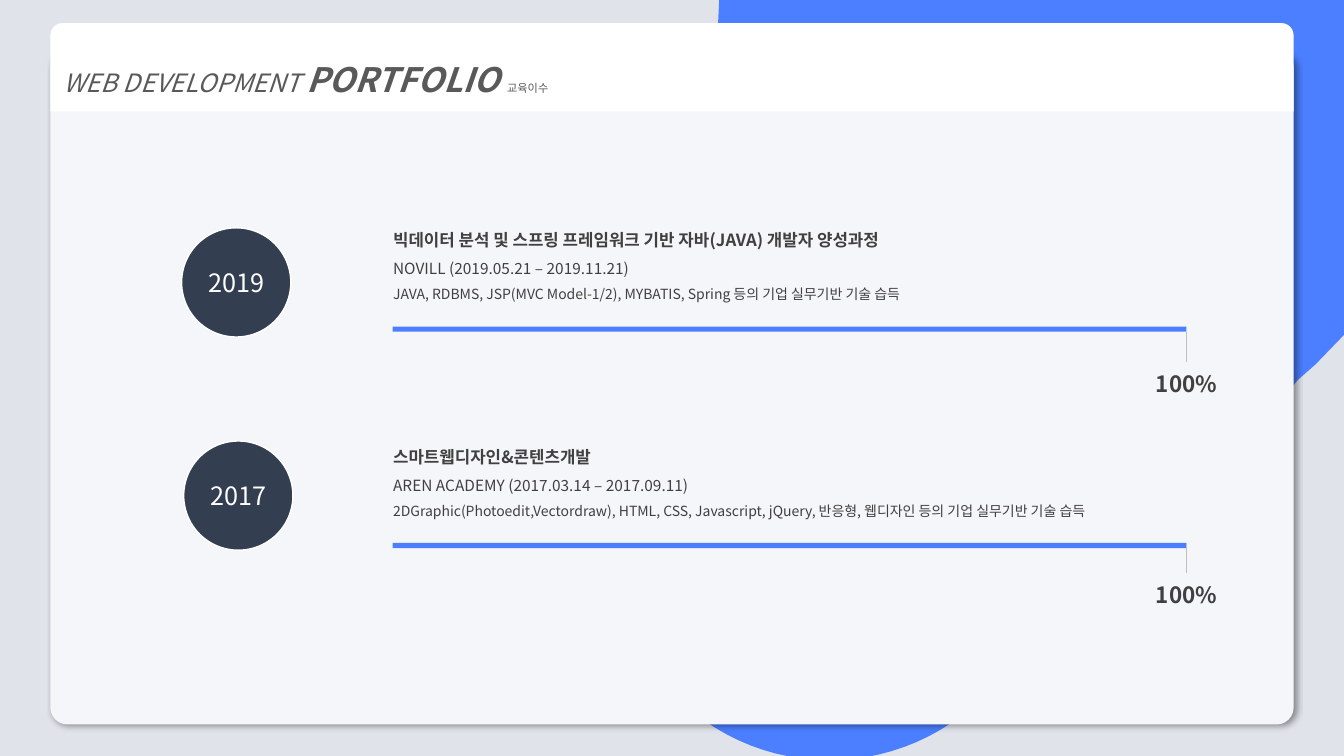
from lxml import etree
from pptx import Presentation
from pptx.dml.color import RGBColor
from pptx.enum.shapes import MSO_SHAPE
from pptx.enum.text import MSO_ANCHOR, MSO_AUTO_SIZE, PP_ALIGN
from pptx.oxml.ns import qn
from pptx.util import Pt

PX = 9525  # EMU per pixel, 96 px to the inch
FONT = "Noto Sans CJK KR"
COLORS = {
    "page": "E1E3EB", "accent": "4B7FFF", "card": "F5F6F9", "white": "FFFFFF",
    "title": "595959", "text": "404040", "badge": "333F50", "tick": "BFBFBF",
    "shadow": "000000",
}
RECT, ROUND_RECT = MSO_SHAPE.RECTANGLE, MSO_SHAPE.ROUNDED_RECTANGLE
ROUND_TOP, OVAL = MSO_SHAPE.ROUND_2_SAME_RECTANGLE, MSO_SHAPE.OVAL
MIDDLE, LEFT, CENTER = MSO_ANCHOR.MIDDLE, PP_ALIGN.LEFT, PP_ALIGN.CENTER
GROW = MSO_AUTO_SIZE.SHAPE_TO_FIT_TEXT

# Outline of the backdrop: two coordinates draw a line, six draw a curve
BACKDROP_START = (1280, 0)
BACKDROP = [
    (1280, 319), (1253, 347), (1236, 362), (1231, 368),
    (1227, 373, 1222, 378, 1216, 384), (937, 663),
    (861, 739, 741, 744, 660, 678), (643, 663), (629, 648),
    (562, 566, 567, 445, 643, 370), (788, 226), (756, 193),
    (708, 145, 684, 83, 684, 21), (685, 0),
]

COURSES = [
    {"top": 204, "badge": (173, 217), "bar_top": 311, "tick_top": 316,
     "text_width": 532, "year": "2019", "percent": "100%",
     "lines": ["빅데이터 분석 및 스프링 프레임워크 기반 자바(JAVA) 개발자 양성과정",
               "NOVILL (2019.05.21 – 2019.11.21)",
               "JAVA, RDBMS, JSP(MVC Model-1/2), MYBATIS, Spring 등의 기업 실무기반 기술 습득"]},
    {"top": 411, "badge": (175, 420), "bar_top": 517, "tick_top": 517,
     "text_width": 703, "year": "2017", "percent": "100%",
     "lines": ["스마트웹디자인&콘텐츠개발",
               "AREN ACADEMY (2017.03.14 – 2017.09.11)",
               "2DGraphic(Photoedit,Vectordraw), HTML, CSS, Javascript, jQuery, "
               "반응형, 웹디자인 등의 기업 실무기반 기술 습득"]},
]


def rgb(name):
    return RGBColor.from_string(COLORS[name])


def emu(*lengths):
    return [length * PX for length in lengths]


def format_run(run, size, color, bold=False, italic=False):
    font = run.font
    font.size, font.bold, font.italic = Pt(size), bold, italic
    font.name = FONT
    font.color.rgb = rgb(color)
    etree.SubElement(run._r.rPr, qn("a:ea"), typeface=FONT)


def add_block(slide, kind, box, fill, line=None):
    block = slide.shapes.add_shape(kind, *emu(*box))
    block.shadow.inherit = False
    block.fill.solid()
    block.fill.fore_color.rgb = rgb(fill)
    if line:
        block.line.color.rgb = rgb(line)
        block.line.width = Pt(1)
    else:
        block.line.fill.background()
    return block


def curve_points(start, curve, steps=24):
    corners = [start, curve[:2], curve[2:4], curve[4:]]
    for step in range(1, steps + 1):
        t = step / steps
        weights = ((1 - t) ** 3, 3 * t * (1 - t) ** 2, 3 * t * t * (1 - t), t ** 3)
        yield tuple(sum(w * corner[axis] for w, corner in zip(weights, corners))
                    for axis in (0, 1))


def add_backdrop(slide):
    points = [BACKDROP_START]
    for segment in BACKDROP:
        points += [segment] if len(segment) == 2 else curve_points(points[-1], segment)
    outline = [(round(x * PX), round(y * PX)) for x, y in points]
    builder = slide.shapes.build_freeform(*outline[0], scale=1.0)
    builder.add_line_segments(outline[1:], close=True)
    backdrop = builder.convert_to_shape()
    backdrop.shadow.inherit = False
    backdrop.fill.solid()
    backdrop.fill.fore_color.rgb = rgb("accent")
    backdrop.line.fill.background()


def add_card(slide, box):
    card = add_block(slide, ROUND_RECT, box, "card")
    card.adjustments[0] = 0.025
    effects = card._element.spPr.find(qn("a:effectLst"))
    shadow = etree.SubElement(effects, qn("a:outerShdw"), blurRad=str(Pt(4)),
                              dist=str(Pt(3)), dir="2700000", algn="tl", rotWithShape="0")
    tint = etree.SubElement(shadow, qn("a:srgbClr"), val=COLORS["shadow"])
    etree.SubElement(tint, qn("a:alpha"), val="40000")


def add_header(slide, box):
    header = add_block(slide, ROUND_TOP, box, "white")
    header.adjustments[0] = 0.137
    header.adjustments[1] = 0
    header.text_frame.vertical_anchor = MIDDLE
    title = header.text_frame.paragraphs[0]
    title.alignment, title.line_spacing = LEFT, 1.5
    for words, size, bold, italic in [("WEB DEVELOPMENT ", 18, False, True),
                                      ("PORTFOLIO ", 24, True, True),
                                      ("교육이수", 8, False, False)]:
        run = title.add_run()
        run.text = words
        format_run(run, size, "title", bold, italic)


def add_badge(slide, box, year):
    badge = add_block(slide, OVAL, box, "badge", "white")
    frame = badge.text_frame
    frame.text = year
    frame.vertical_anchor = MIDDLE
    frame.paragraphs[0].alignment = CENTER
    format_run(frame.paragraphs[0].runs[0], 18, "white")


def add_description(slide, box, lines):
    frame = slide.shapes.add_textbox(*emu(*box)).text_frame
    frame.word_wrap = True
    frame.auto_size = GROW
    frame.text = "\n".join(lines)
    for paragraph, size in zip(frame.paragraphs, (12, 11, 10)):
        paragraph.line_spacing = 1.5
        format_run(paragraph.runs[0], size, "text", bold=size == 12)


def set_borders(cell, visible_side=None):
    properties = cell._tc.get_or_add_tcPr()
    for index, side in enumerate(("lnL", "lnR", "lnT", "lnB")):
        border = etree.Element(qn(f"a:{side}"), w=str(Pt(1.5)))
        if side == visible_side:
            fill = etree.SubElement(border, qn("a:solidFill"))
            etree.SubElement(fill, qn("a:srgbClr"), val=COLORS["tick"])
        else:
            etree.SubElement(border, qn("a:noFill"))
        properties.insert(index, border)


def add_percent(slide, box, percent):
    left, top, width, height = box
    tick_height = 29
    table = slide.shapes.add_table(2, 2, *emu(*box)).table
    table.first_row = table.horz_banding = False
    for column in table.columns:
        column.width = width // 2 * PX
    table.rows[0].height, table.rows[1].height = emu(tick_height, height - tick_height)
    for cell in table.iter_cells():
        cell.fill.background()
        cell.margin_top = cell.margin_bottom = 0
        etree.SubElement(cell.text_frame.paragraphs[0]._p, qn("a:endParaRPr"), sz="800")
    # The tick is the border shared by the two upper cells
    for cell, side in zip(table.iter_cells(), ("lnR", "lnL", None, None)):
        set_borders(cell, side)
    label = table.cell(1, 0)
    label.merge(table.cell(1, 1))
    label.text = percent
    label.vertical_anchor = MIDDLE
    label.text_frame.paragraphs[0].alignment = CENTER
    format_run(label.text_frame.paragraphs[0].runs[0], 16, "text", bold=True)


def add_course(slide, box, course):
    left, top, width = box
    bar_width, percent_width = width, 82
    add_block(slide, RECT, (left, course["bar_top"], bar_width, 5), "accent")
    add_description(slide, (left - 9, top, course["text_width"], 86), course["lines"])
    add_percent(slide, (left + bar_width - percent_width // 2, course["tick_top"],
                        percent_width, 68), course["percent"])
    add_badge(slide, (*course["badge"], 104, 104), course["year"])


def main():
    deck = Presentation()
    deck.slide_width, deck.slide_height = emu(1280, 720)
    slide = deck.slides.add_slide(deck.slide_layouts[6])
    slide.background.fill.solid()
    slide.background.fill.fore_color.rgb = rgb("page")
    add_backdrop(slide)
    add_card(slide, (48, 48, 1184, 642))
    add_header(slide, (48, 22, 1184, 84))
    for course in COURSES:
        add_course(slide, (374, course["top"], 756), course)
    deck.save("out.pptx")


if __name__ == "__main__":
    main()
